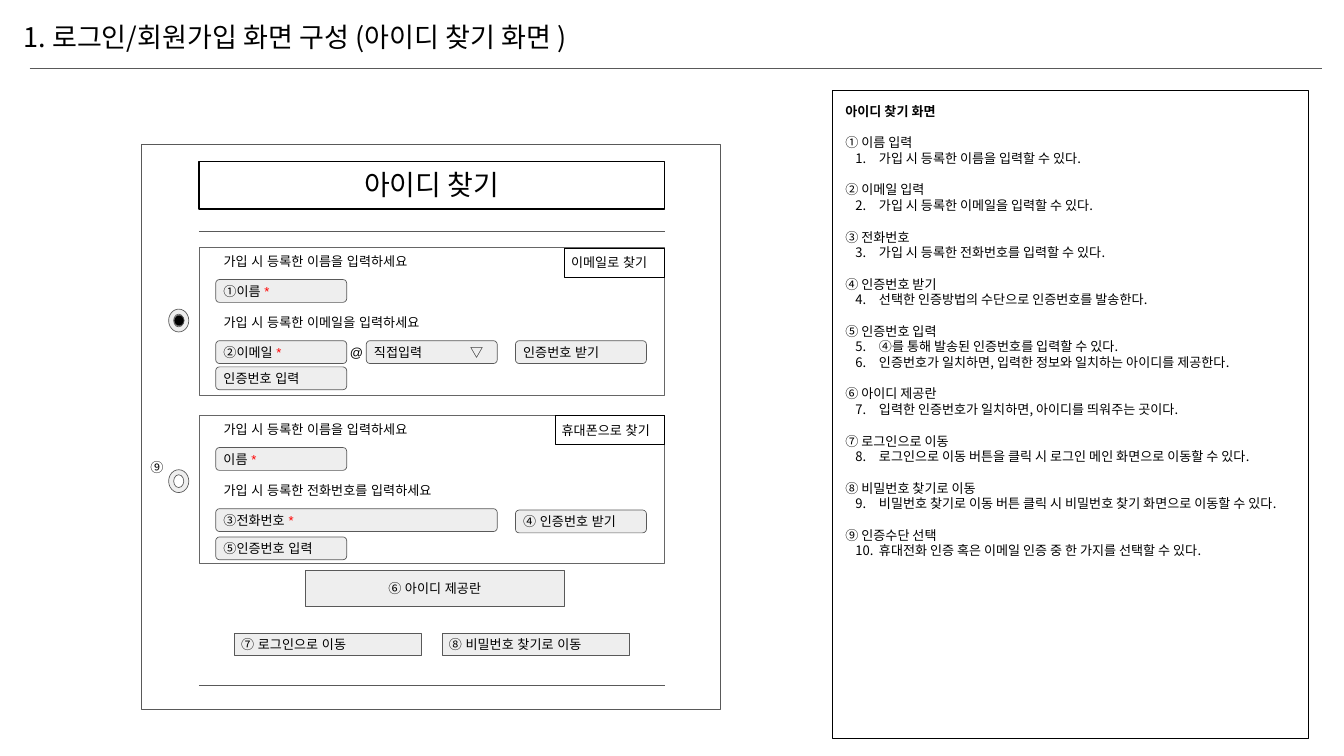
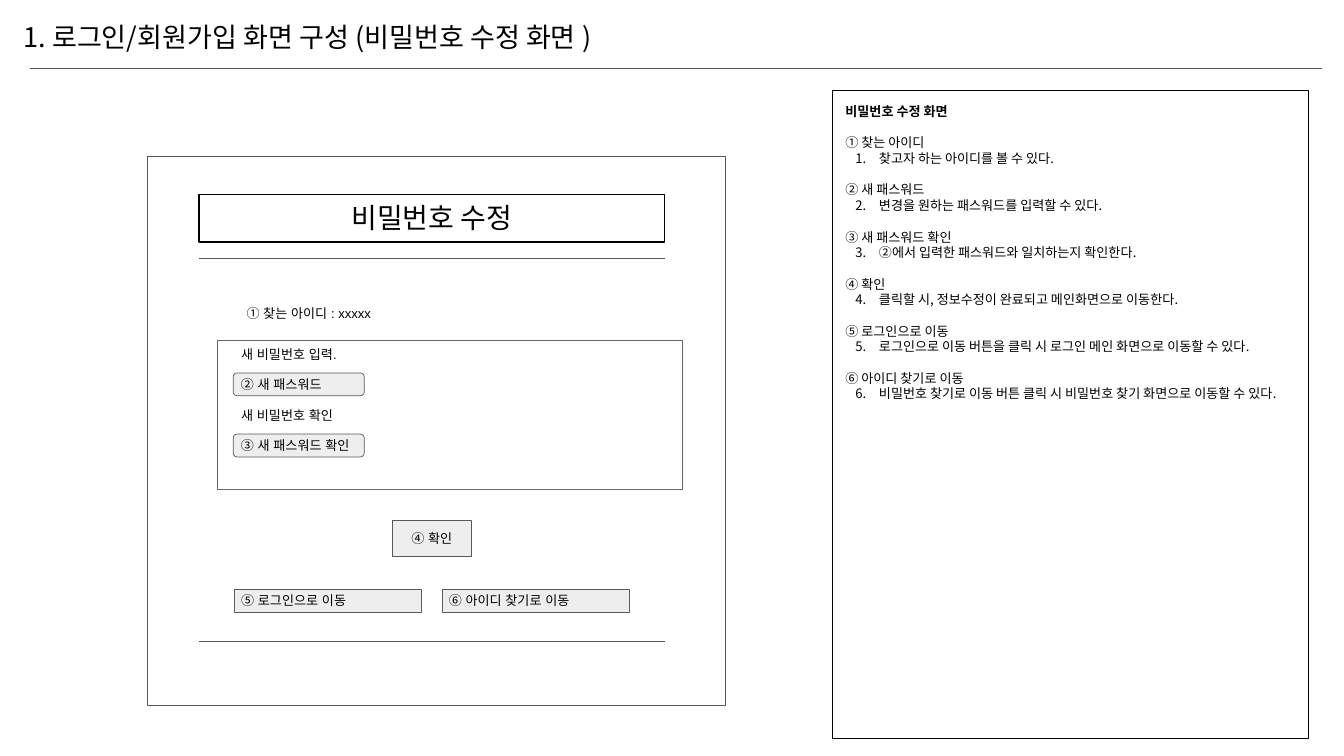
from pptx import Presentation
from pptx.dml.color import RGBColor
from pptx.enum.shapes import MSO_CONNECTOR, MSO_SHAPE as SHAPE
from pptx.enum.text import MSO_ANCHOR as ANCHOR, PP_ALIGN as ALIGN
from pptx.oxml.ns import qn
from pptx.util import Inches, Pt
from lxml.etree import SubElement

COLORS = {
    "ink": "000000",
    "line": "595959",
    "panel": "666666",
    "field": "EEEEEE",
    "required": "FF0000",
}
SANS, KOREAN = "Arial", "Noto Sans CJK KR"
COLUMN_X, COLUMN_W = 2.96, 6.93
PANEL_W, PANEL_H = 6.92, 2.21
FIELD_W, FIELD_H = 1.95, 0.34
LABEL_H = 0.44
ROW_STEP = 0.91


def rgb(name):
    return RGBColor.from_string(COLORS[name])


def style_run(r, size=14, font=SANS, color="ink", bold=False):
    r.font.size = Pt(size)
    r.font.name = font
    r.font.bold = bold
    r.font.color.rgb = rgb(color)
    SubElement(r._r.get_or_add_rPr(), qn("a:ea"), typeface=font)


def set_frame(tf, anchor, inset):
    tf.word_wrap = True
    tf.vertical_anchor = anchor
    tf.margin_left = tf.margin_right = Inches(inset)
    tf.margin_top = tf.margin_bottom = Inches(inset)


def set_text(sp, text, size=14, font=SANS, anchor=ANCHOR.TOP,
             align=ALIGN.LEFT, required=False):
    tf = sp.text_frame
    set_frame(tf, anchor, 0.1)
    p = tf.paragraphs[0]
    p.text = text
    p.alignment = align
    p.line_spacing = Pt(size * 1.2)
    style_run(p.runs[0], size, font)
    if required:
        r = p.add_run()
        r.text = " *"
        style_run(r, size, font, "required")
    return p


def add_box(s, x, y, w, h, kind=SHAPE.RECTANGLE, fill=None, line="line", weight=0.75):
    sp = s.shapes.add_shape(kind, Inches(x), Inches(y), Inches(w), Inches(h))
    sp.shadow.inherit = False
    if fill:
        sp.fill.solid()
        sp.fill.fore_color.rgb = rgb(fill)
    else:
        sp.fill.background()
    sp.line.color.rgb = rgb(line)
    sp.line.width = Pt(weight)
    return sp


def add_label(s, x, y, text, w=5.57, font=SANS):
    sp = s.shapes.add_textbox(Inches(x), Inches(y), Inches(w), Inches(LABEL_H))
    set_text(sp, text, font=font)
    return sp


def add_rule(s, x, y, w):
    c = s.shapes.add_connector(MSO_CONNECTOR.STRAIGHT, Inches(x), Inches(y),
                               Inches(x + w), Inches(y))
    c.line.color.rgb = rgb("line")
    c.line.width = Pt(0.75)
    SubElement(c._element.spPr, qn("a:effectLst"))


def add_field(s, x, y, text, w=FIELD_W, required=False):
    sp = add_box(s, x, y, w, FIELD_H, SHAPE.ROUNDED_RECTANGLE, "field")
    return set_text(sp, text, anchor=ANCHOR.MIDDLE, required=required)


def add_button(s, x, y, w, h, text, align=ALIGN.CENTER):
    sp = add_box(s, x, y, w, h, fill="field")
    set_text(sp, text, anchor=ANCHOR.MIDDLE, align=align)


def add_title(s, screen):
    sp = s.shapes.add_textbox(0, 0, Inches(20), Inches(1.09))
    p = set_text(sp, f"1. 로그인/회원가입 화면 구성 ({screen} )", 29, KOREAN, ANCHOR.MIDDLE)
    p.line_spacing = 1.0
    sp.text_frame.margin_left = Inches(0.35)
    add_rule(s, 0.44, 1.01, 19.24)


def number_paragraph(p):
    pPr = p._p.get_or_add_pPr()
    pPr.set("marL", str(Inches(0.5)))
    pPr.set("indent", str(Inches(-0.35)))
    SubElement(pPr, qn("a:buFont"), typeface=KOREAN)
    SubElement(pPr, qn("a:buAutoNum"), type="arabicPeriod")


def add_notes_panel(s, heading, sections, x=12.39, y=1.35, w=7.08, h=9.64):
    """Framed description: a heading, then sections of numbered sentences."""
    sp = add_box(s, x, y, w, h, line="ink", weight=1.5)
    tf = sp.text_frame
    set_frame(tf, ANCHOR.TOP, 0.19)

    def add_line(p, text, bold=False):
        p.text = text
        p.alignment = ALIGN.LEFT
        p.line_spacing = Pt(16.8)
        style_run(p.runs[0], font=KOREAN, bold=bold)

    add_line(tf.paragraphs[0], heading, bold=True)
    for name, *sentences in sections:
        p = tf.add_paragraph()
        add_line(p, name)
        p.space_before = Pt(16.8)
        for sentence in sentences:
            p = tf.add_paragraph()
            add_line(p, sentence)
            number_paragraph(p)


def add_window(s, x, y, h, heading, heading_y, rules, nav_y, nav):
    """Screen frame with its heading, two rules and navigation buttons."""
    add_box(s, x, y, 8.61, h)
    sp = add_box(s, COLUMN_X, y + heading_y, COLUMN_W, 0.71, line="ink", weight=1.5)
    set_text(sp, heading, 30, KOREAN, align=ALIGN.CENTER)
    for rule_y in rules:
        add_rule(s, COLUMN_X, y + rule_y, COLUMN_W)
    for i, text in enumerate(nav):
        add_button(s, COLUMN_X + 0.53 + 3.09 * i, y + nav_y, 2.78, 0.34, text, ALIGN.LEFT)


def add_form(s, x, y, rows):
    """Panel with rows of (label, field text, field width, required)."""
    add_box(s, x, y, PANEL_W, PANEL_H, line="panel")
    for i, (label, text, w, required) in enumerate(rows):
        row_y = y + ROW_STEP * i
        add_label(s, x + 0.26, row_y - 0.01, label)
        add_field(s, x + 0.24, row_y + 0.48, text, w, required)


def add_form_tab(s, x, y, w, text):
    sp = add_box(s, x + PANEL_W - w, y, w, LABEL_H, line="ink")
    set_text(sp, text)


def add_radio(s, x, y, selected=False):
    add_box(s, x, y, 0.3, 0.34, SHAPE.DONUT, "field")
    if selected:
        add_box(s, x + 0.08, y + 0.09, 0.15, 0.16, SHAPE.OVAL, "ink")


def add_email_form(s, x, y):
    add_form(s, x, y, [
        ("가입 시 등록한 이름을 입력하세요", "①이름", FIELD_W, True),
        ("가입 시 등록한 이메일을 입력하세요", "②이메일", FIELD_W, True),
    ])
    add_label(s, x + 2.14, y + 1.34, "@", 0.28)
    p = add_field(s, x + 2.48, y + 1.39, "직접입력\t▽")
    tabs = SubElement(p._p.get_or_add_pPr(), qn("a:tabLst"))
    SubElement(tabs, qn("a:tab"), pos=str(Inches(1.43)), algn="l")
    add_field(s, x + 4.7, y + 1.39, "인증번호 받기")
    add_field(s, x + 0.24, y + 1.78, "인증번호 입력")
    add_form_tab(s, x, y + 0.01, 1.49, "이메일로 찾기")
    add_radio(s, x - 0.46, y + 0.92, selected=True)


def add_phone_form(s, x, y):
    add_form(s, x, y, [
        ("가입 시 등록한 이름을 입력하세요", "이름", FIELD_W, True),
        ("가입 시 등록한 전화번호를 입력하세요", "③전화번호", 4.19, True),
    ])
    add_field(s, x + 4.7, y + 1.41, "④ 인증번호 받기")
    add_field(s, x + 0.24, y + 1.81, "⑤인증번호 입력")
    add_form_tab(s, x, y, 1.63, "휴대폰으로 찾기")
    add_radio(s, x - 0.46, y + 0.81)
    add_label(s, x - 0.83, y + 0.56, "⑨", 0.55, KOREAN)


def build_find_id(s):
    add_title(s, "아이디 찾기 화면")
    add_window(s, 2.11, 2.15, 8.41, "아이디 찾기", 0.25, (1.29, 8.05), 7.27,
               ("⑦ 로그인으로 이동", "⑧ 비밀번호 찾기로 이동"))
    add_email_form(s, 2.97, 3.68)
    add_phone_form(s, 2.97, 6.18)
    add_button(s, 4.54, 8.49, 3.86, 0.54, "⑥ 아이디 제공란")
    add_notes_panel(s, "아이디 찾기 화면", [
        ("① 이름 입력", "가입 시 등록한 이름을 입력할 수 있다."),
        ("② 이메일 입력", "가입 시 등록한 이메일을 입력할 수 있다."),
        ("③ 전화번호", "가입 시 등록한 전화번호를 입력할 수 있다."),
        ("④ 인증번호 받기", "선택한 인증방법의 수단으로 인증번호를 발송한다."),
        ("⑤ 인증번호 입력", "④를 통해 발송된 인증번호를 입력할 수 있다.",
         "인증번호가 일치하면, 입력한 정보와 일치하는 아이디를 제공한다."),
        ("⑥ 아이디 제공란", "입력한 인증번호가 일치하면, 아이디를 띄워주는 곳이다."),
        ("⑦ 로그인으로 이동",
         "로그인으로 이동 버튼을 클릭 시 로그인 메인 화면으로 이동할 수 있다."),
        ("⑧ 비밀번호 찾기로 이동",
         "비밀번호 찾기로 이동 버튼 클릭 시 비밀번호 찾기 화면으로 이동할 수 있다."),
        ("⑨ 인증수단 선택",
         "휴대전화 인증 혹은 이메일 인증 중 한 가지를 선택할 수 있다."),
    ])


def build_edit_password(s):
    add_title(s, "비밀번호 수정 화면")
    add_window(s, 2.19, 2.33, 8.16, "비밀번호 수정", 0.56, (1.51, 7.21), 6.44,
               ("⑤ 로그인으로 이동", "⑥ 아이디 찾기로 이동"))
    add_label(s, 3.57, 4.45, "① 찾는 아이디 : xxxxx", 6.01)
    add_form(s, 3.23, 5.07, [
        ("새 비밀번호 입력.", "② 새 패스워드", FIELD_W, False),
        ("새 비밀번호 확인", "③ 새 패스워드 확인", FIELD_W, False),
    ])
    add_button(s, 5.84, 7.74, 1.17, 0.54, "④ 확인")
    add_notes_panel(s, "비밀번호 수정 화면", [
        ("① 찾는 아이디", "찾고자 하는 아이디를 볼 수 있다."),
        ("② 새 패스워드", "변경을 원하는 패스워드를 입력할 수 있다."),
        ("③ 새 패스워드 확인", "②에서 입력한 패스워드와 일치하는지 확인한다."),
        ("④ 확인", "클릭할 시, 정보수정이 완료되고 메인화면으로 이동한다."),
        ("⑤ 로그인으로 이동",
         "로그인으로 이동 버튼을 클릭 시 로그인 메인 화면으로 이동할 수 있다."),
        ("⑥ 아이디 찾기로 이동",
         "비밀번호 찾기로 이동 버튼 클릭 시 비밀번호 찾기 화면으로 이동할 수 있다."),
    ])


def main():
    prs = Presentation()
    prs.slide_width, prs.slide_height = Inches(20), Inches(11.25)
    for build in (build_find_id, build_edit_password):
        build(prs.slides.add_slide(prs.slide_layouts[6]))
    prs.save("out.pptx")


if __name__ == "__main__":
    main()
